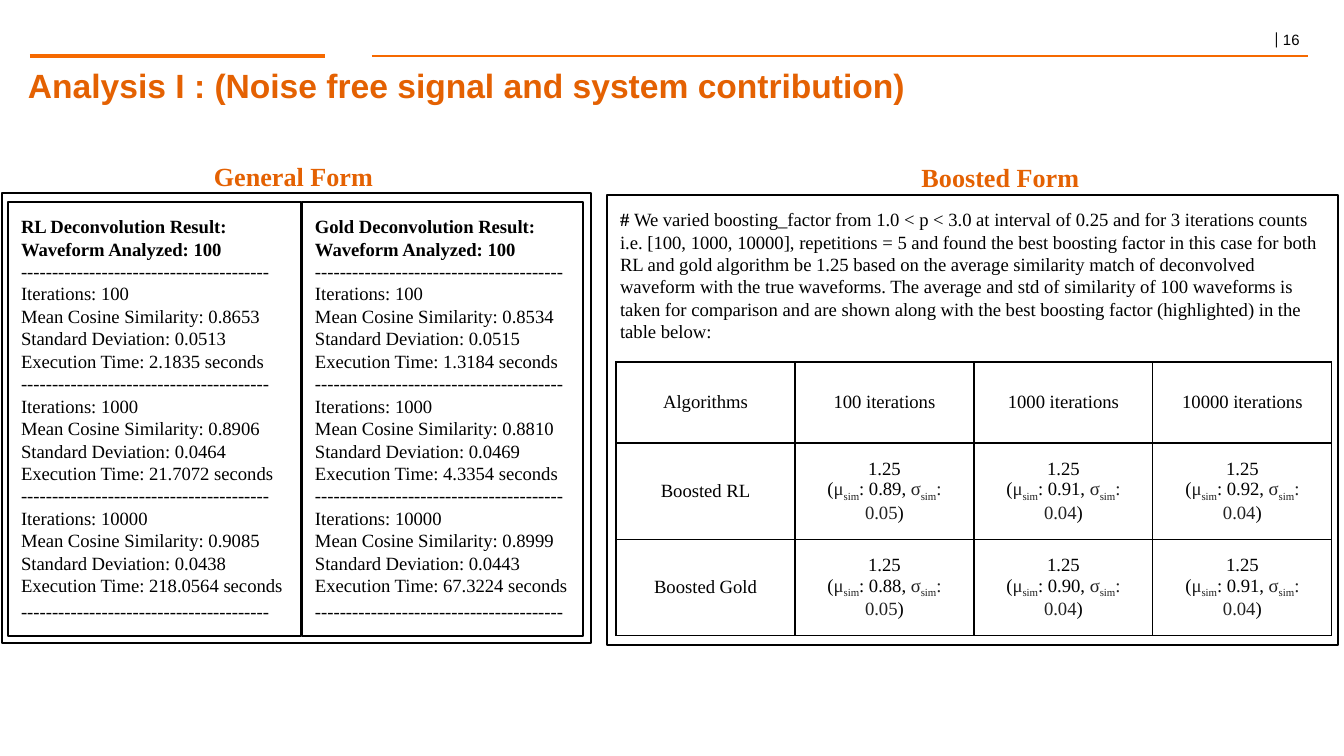
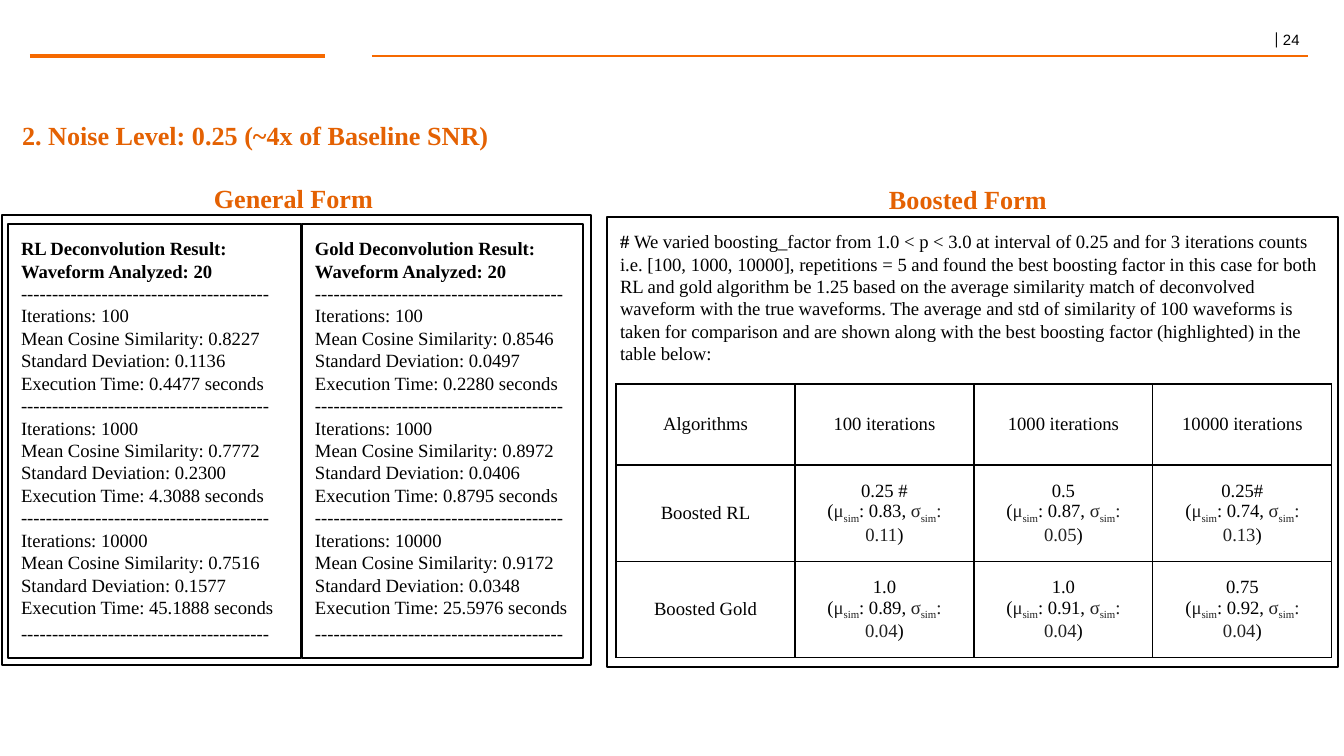
from typing import NamedTuple

from lxml import etree
from pptx import Presentation
from pptx.dml.color import RGBColor
from pptx.enum.shapes import MSO_CONNECTOR, MSO_SHAPE
from pptx.enum.text import MSO_ANCHOR, PP_ALIGN
from pptx.oxml.ns import qn
from pptx.util import Emu, Pt

RECT, STRAIGHT = MSO_SHAPE.RECTANGLE, MSO_CONNECTOR.STRAIGHT
TOP, MIDDLE = MSO_ANCHOR.TOP, MSO_ANCHOR.MIDDLE
LEFT, CENTER = PP_ALIGN.LEFT, PP_ALIGN.CENTER

EMU_PER_PX = 914400 / 134.4
WIDTH, HEIGHT = 1344, 756
BLACK, SYMBOL, RULE, HEADING = "000000", "222222", "F66900", "E46102"
SANS, SERIF, PAGE_MARK = "Arial", "Times New Roman", "Cambria"
BORDER_PT = 0.75
INSET = 13

ITERATIONS = (100, 1000, 10000)
DASHES = "-" * 40
BOOSTING_NOTE = (
    "We varied boosting_factor from 1.0 < p < 3.0 at interval of 0.25 and for 3 "
    "iterations counts i.e. [100, 1000, 10000], repetitions = 5 and found the best "
    "boosting factor in this case for both RL and gold algorithm be 1.25 based on the "
    "average similarity match of deconvolved waveform with the true waveforms. The "
    "average and std of similarity of 100 waveforms is taken for comparison and are "
    "shown along with the best boosting factor (highlighted) in the table below:"
)


class Box(NamedTuple):
    x: int
    y: int
    w: int
    h: int

    def down(self, dy: int) -> "Box":
        return self._replace(y=self.y + dy)


class Style(NamedTuple):
    font: str
    size: float
    color: str = BLACK
    bold: bool = False
    align: PP_ALIGN = LEFT
    spacing: float = 1.0


class Piece(NamedTuple):
    """A run; None keeps the paragraph's value."""
    text: str
    color: str | None = None
    bold: bool | None = None
    font: str | None = None
    size: float | None = None
    subscript: bool = False


class Line(NamedTuple):
    pieces: list[Piece]
    style: Style


class Run(NamedTuple):
    similarity: str
    deviation: str
    seconds: str


class Boost(NamedTuple):
    factor: str
    mean: str
    deviation: str


class Analysis(NamedTuple):
    page: int
    heading: str
    heading_box: Box
    heading_style: Style
    heading_anchor: MSO_ANCHOR
    shift: int
    waveforms: int
    rl: list[Run]
    gold: list[Run]
    boosted_title: Box
    boosted_rl: list[Boost]
    boosted_gold: list[Boost]


BODY = Style(SERIF, 10)
CELL = BODY._replace(align=CENTER)
TITLE = Style(SANS, 18, HEADING, True)
SUBTITLE = Style(SERIF, 14, HEADING, True)
PANEL_TITLE = SUBTITLE._replace(align=CENTER)

PAGE_BOX = Box(1265, 28, 137, 27)
GENERAL_TITLE = Box(9, 159, 569, 35)
GENERAL_FRAME = Box(2, 193, 589, 450)
RL_BOX = Box(8, 202, 293, 434)
GOLD_BOX = Box(302, 202, 281, 434)
BOOSTED_FRAME = Box(607, 195, 731, 450)
TABLE_X, TABLE_Y, COLUMN_W = 616, 362, 179
ROW_HEIGHTS = (81, 85, 85)

ANALYSES = [
    Analysis(
        16, "Analysis I : (Noise free signal and system contribution)",
        Box(15, 52, 917, 67), TITLE, TOP, 0, 100,
        [Run("0.8653", "0.0513", "2.1835"), Run("0.8906", "0.0464", "21.7072"),
         Run("0.9085", "0.0438", "218.0564")],
        [Run("0.8534", "0.0515", "1.3184"), Run("0.8810", "0.0469", "4.3354"),
         Run("0.8999", "0.0443", "67.3224")],
        Box(780, 148, 441, 59),
        [Boost("1.25", "0.89", "0.05"), Boost("1.25", "0.91", "0.04"),
         Boost("1.25", "0.92", "0.04")],
        [Boost("1.25", "0.88", "0.05"), Boost("1.25", "0.90", "0.04"),
         Boost("1.25", "0.91", "0.04")],
    ),
    Analysis(
        24, "2. Noise Level: 0.25 (~4x of Baseline SNR)",
        Box(9, 118, 569, 35), SUBTITLE, MIDDLE, 22, 20,
        [Run("0.8227", "0.1136", "0.4477"), Run("0.7772", "0.2300", "4.3088"),
         Run("0.7516", "0.1577", "45.1888")],
        [Run("0.8546", "0.0497", "0.2280"), Run("0.8972", "0.0406", "0.8795"),
         Run("0.9172", "0.0348", "25.5976")],
        Box(720, 148, 496, 59),
        [Boost("0.25 #", "0.83", "0.11"), Boost("0.5", "0.87", "0.05"),
         Boost("0.25#", "0.74", "0.13")],
        [Boost("1.0", "0.89", "0.04"), Boost("1.0", "0.91", "0.04"),
         Boost("0.75", "0.92", "0.04")],
    ),
]


def px(n: float) -> Emu:
    return Emu(round(n * EMU_PER_PX))


def rgb(color: str) -> RGBColor:
    return RGBColor.from_string(color)


def line(text: str, style: Style) -> Line:
    return Line([Piece(text)], style)


def write(tf, lines: list[Line]) -> None:
    for i, (pieces, style) in enumerate(lines):
        p = tf.paragraphs[0] if i == 0 else tf.add_paragraph()
        p.alignment, p.line_spacing = style.align, style.spacing
        p.font.name, p.font.size, p.font.bold = style.font, Pt(style.size), style.bold
        p.font.color.rgb = rgb(style.color)
        for piece in pieces:
            r = p.add_run()
            r.text = piece.text
            if piece.color:
                r.font.color.rgb = rgb(piece.color)
            if piece.bold is not None:
                r.font.bold = piece.bold
            if piece.font:
                r.font.name = piece.font
            if piece.size:
                r.font.size = Pt(piece.size)
            if piece.subscript:
                r._r.get_or_add_rPr().set("baseline", "-25000")


def set_margins(target, x: int = INSET, y: int = INSET) -> None:
    """Set the insets of a text frame or a table cell."""
    target.margin_left = target.margin_right = px(x)
    target.margin_top = target.margin_bottom = px(y)


def add_text(slide, box: Box, lines: list[Line], anchor: MSO_ANCHOR = TOP,
             inset: tuple[int, int] = (INSET, INSET)) -> None:
    tf = slide.shapes.add_textbox(*map(px, box)).text_frame
    tf.word_wrap, tf.vertical_anchor = True, anchor
    set_margins(tf, *inset)
    write(tf, lines)


def add_frame(slide, box: Box, lines: list[Line]) -> None:
    sp = slide.shapes.add_shape(RECT, *map(px, box))
    sp.shadow.inherit = False
    sp.fill.background()
    sp.line.color.rgb, sp.line.width = rgb(BLACK), Pt(BORDER_PT)
    tf = sp.text_frame
    tf.word_wrap, tf.vertical_anchor = True, TOP
    set_margins(tf)
    write(tf, lines)


def add_rule(slide, x1: int, x2: int, y: int, width: float) -> None:
    sp = slide.shapes.add_connector(STRAIGHT, px(x1), px(y), px(x2), px(y))
    sp.line.color.rgb, sp.line.width = rgb(RULE), Pt(width)
    etree.SubElement(sp._element.spPr, qn("a:effectLst"))


def add_header(slide, page: int) -> None:
    mark = Piece("| ", font=PAGE_MARK, size=9)
    add_text(slide, PAGE_BOX, [Line([mark, Piece(str(page))], Style(SANS, 8, spacing=0.8))],
             inset=(9, 5))
    add_rule(slide, 30, 325, 56, 2)
    add_rule(slide, 372, 1308, 56, 1)


def result_lines(algorithm: str, waveforms: int, runs: list[Run]) -> list[Line]:
    bold = BODY._replace(bold=True)
    lines = [line(f"{algorithm} Deconvolution Result:", bold),
             line(f"Waveform Analyzed: {waveforms}", bold)]
    for count, run in zip(ITERATIONS, runs):
        lines += [line(text, BODY) for text in (
            DASHES,
            f"Iterations: {count}",
            f"Mean Cosine Similarity: {run.similarity}",
            f"Standard Deviation: {run.deviation}",
            f"Execution Time: {run.seconds} seconds",
        )]
    return lines + [line(DASHES, BODY._replace(spacing=1.15))]


def boost_lines(boost: Boost) -> list[Line]:
    sim = Piece("sim", SYMBOL, subscript=True)
    pieces = [Piece("("), Piece("μ", SYMBOL), sim, Piece(f": {boost.mean}, "),
              Piece("σ", SYMBOL), sim, Piece(f": {boost.deviation}", SYMBOL), Piece(")")]
    return [line(boost.factor, CELL), Line(pieces, CELL)]


def set_borders(cell) -> None:
    tc_pr = cell._tc.get_or_add_tcPr()
    for side in ("lnL", "lnR", "lnT", "lnB"):
        ln = etree.SubElement(tc_pr, qn(f"a:{side}"), w=str(Pt(BORDER_PT)))
        fill = etree.SubElement(ln, qn("a:solidFill"))
        etree.SubElement(fill, qn("a:srgbClr"), val=BLACK)


def add_boost_table(slide, analysis: Analysis) -> None:
    rows = [[[line(text, CELL)] for text in
             ("Algorithms", *(f"{n} iterations" for n in ITERATIONS))]]
    for name, boosts in (("RL", analysis.boosted_rl), ("Gold", analysis.boosted_gold)):
        rows.append([[line(f"Boosted {name}", CELL)], *map(boost_lines, boosts)])
    columns = len(rows[0])
    box = Box(TABLE_X, TABLE_Y + analysis.shift, COLUMN_W * columns, sum(ROW_HEIGHTS))
    table = slide.shapes.add_table(len(rows), columns, *map(px, box)).table
    table.first_row = table.horz_banding = False
    for column in table.columns:
        column.width = px(COLUMN_W)
    for i, (height, row) in enumerate(zip(ROW_HEIGHTS, rows)):
        table.rows[i].height = px(height)
        for j, lines in enumerate(row):
            cell = table.cell(i, j)
            set_borders(cell)
            cell.fill.background()
            cell.vertical_anchor = MIDDLE
            set_margins(cell)
            write(cell.text_frame, lines)


def add_analysis(prs, a: Analysis) -> None:
    slide = prs.slides.add_slide(prs.slide_layouts[6])
    add_header(slide, a.page)
    add_text(slide, a.heading_box, [line(a.heading, a.heading_style)], a.heading_anchor)
    add_frame(slide, GENERAL_FRAME.down(a.shift), [])
    add_frame(slide, RL_BOX.down(a.shift), result_lines("RL", a.waveforms, a.rl))
    add_frame(slide, GOLD_BOX.down(a.shift), result_lines("Gold", a.waveforms, a.gold))
    add_text(slide, GENERAL_TITLE.down(a.shift), [line("General Form", PANEL_TITLE)], MIDDLE)
    add_text(slide, a.boosted_title.down(a.shift), [line("Boosted Form", PANEL_TITLE)])
    add_frame(slide, BOOSTED_FRAME.down(a.shift),
              [Line([Piece("# ", bold=True), Piece(BOOSTING_NOTE)], BODY)])
    add_boost_table(slide, a)


def main() -> None:
    prs = Presentation()
    prs.slide_width, prs.slide_height = px(WIDTH), px(HEIGHT)
    for analysis in ANALYSES:
        add_analysis(prs, analysis)
    prs.save("out.pptx")


if __name__ == "__main__":
    main()
